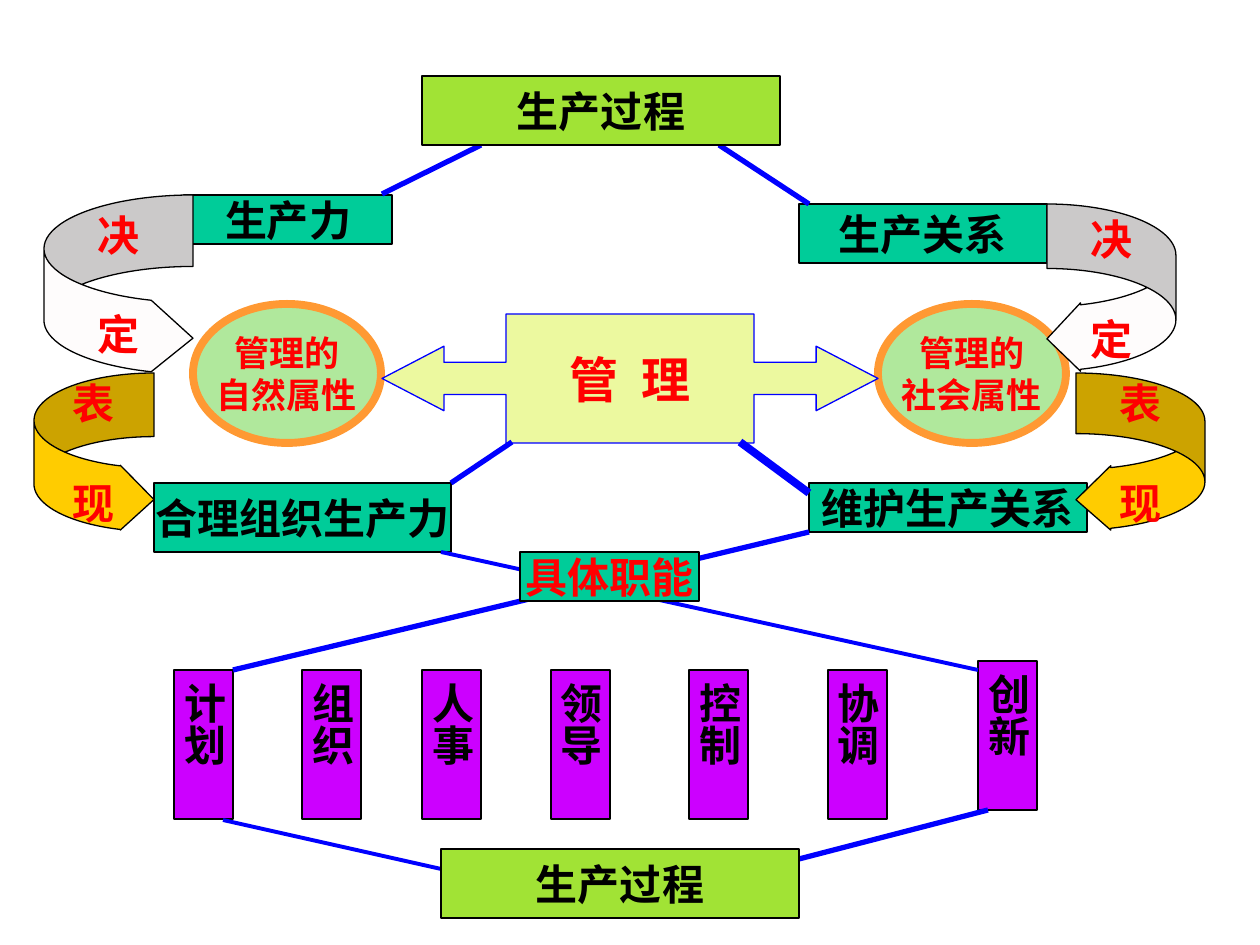
from lxml.etree import SubElement
from pptx import Presentation
from pptx.dml.color import RGBColor
from pptx.enum.shapes import MSO_CONNECTOR, MSO_SHAPE
from pptx.enum.text import MSO_ANCHOR, PP_ALIGN
from pptx.oxml.ns import qn
from pptx.util import Inches, Pt

PX = Inches(10) / 1260
FONT, CJK = "Times New Roman", "Noto Sans CJK JP"
BLACK = RGBColor(0x00, 0x00, 0x00)
RED = RGBColor(0xFF, 0x00, 0x00)
BLUE = RGBColor(0x00, 0x00, 0xFF)
TEAL = RGBColor(0x00, 0xCC, 0x99)
LIME = RGBColor(0xA1, 0xE3, 0x35)
PURPLE = RGBColor(0xCC, 0x00, 0xFF)
MINT = RGBColor(0xB0, 0xE8, 0x9C)
ORANGE = RGBColor(0xFF, 0x99, 0x33)
CREAM = RGBColor(0xEC, 0xF9, 0x9F)
WHITE = RGBColor(0xFE, 0xFC, 0xFC)
GOLD = RGBColor(0xFF, 0xCC, 0x00)

# text, place (left, top, width, height), fill, text colour
BACK = [
    ("生产力", (184, 195, 208, 49), TEAL, BLACK),
    ("生产关系", (799, 204, 248, 59), TEAL, BLACK),
    ("合理组织生产力", (154, 483, 297, 69), TEAL, BLACK),
    ("维护生产关系", (809, 483, 278, 49), TEAL, BLACK),
]
FRONT = [
    ("具体职能", (520, 552, 179, 49), TEAL, RED),
    ("生产过程", (441, 849, 358, 69), LIME, BLACK),
    ("生产过程", (422, 76, 358, 69), LIME, BLACK),
]
TRAITS = [("自然属性", 193), ("社会属性", 878)]
# text, left, top
DUTIES = [
    ("计划", 174, 670), ("组织", 302, 670), ("人事", 422, 670),
    ("领导", 551, 670), ("控制", 689, 670), ("协调", 828, 670),
    ("创新", 978, 661),
]
# x1, y1, x2, y2, width in points
LINES = [
    (233, 670, 809, 532, 3), (441, 552, 978, 670, 2.25),
    (223, 820, 441, 869, 2.25), (799, 859, 988, 810, 3),
    (451, 483, 512, 442, 3), (740, 442, 809, 493, 4.5),
    (382, 194, 481, 145, 3), (719, 145, 809, 204, 3),
]
RIGHT, LEFT = MSO_SHAPE.CURVED_RIGHT_ARROW, MSO_SHAPE.CURVED_LEFT_ARROW
# kind, two words, place, fill, adjustments
CURVES = [
    (RIGHT, "决定", (44, 195, 149, 179), WHITE, (0.48, 0.48, 0.28)),
    (LEFT, "决定", (1047, 204, 129, 169), WHITE, (0.5, 0.53, 0.26)),
    (RIGHT, "表现", (34, 373, 120, 159), GOLD, (0.53, 0.54, 0.28)),
    (LEFT, "表现", (1076, 373, 129, 159), GOLD, (0.47, 0.5, 0.27)),
]

deck = Presentation()
deck.slide_width, deck.slide_height = Inches(10), Inches(7.5)
shapes = deck.slides.add_slide(deck.slide_layouts[6]).shapes


def emu(*vals):
    return [round(v * PX) for v in vals]


def put(kind, place, fill, edge=BLACK, width=0.75, adjust=()):
    shape = shapes.add_shape(kind, *emu(*place))
    shape.shadow.inherit = False
    shape.fill.solid()
    shape.fill.fore_color.rgb = fill
    shape.line.color.rgb = edge
    shape.line.width = Pt(width)
    for i, val in enumerate(adjust):
        shape.adjustments[i] = val
    return shape


def write(shape, paras, color, size=24, font=FONT, gap=0):
    """Fill a shape with centred paragraphs, each a list of runs."""
    frame = shape.text_frame
    frame.word_wrap = False
    frame.vertical_anchor = MSO_ANCHOR.MIDDLE
    for i, runs in enumerate(paras):
        para = frame.add_paragraph() if i else frame.paragraphs[0]
        para.alignment = PP_ALIGN.CENTER
        if i and gap:
            para.space_before = Pt(gap)
        for text in runs:
            run = para.add_run()
            run.text = text
            run.font.name, run.font.size = font, Pt(size)
            run.font.bold = True
            run.font.color.rgb = color


def box(text, place, fill, color):
    shape = put(MSO_SHAPE.RECTANGLE, place, fill)
    write(shape, [[text]], color)
    return shape


for item in BACK:
    box(*item)

for text, left in TRAITS:
    oval = put(MSO_SHAPE.OVAL, (left, 304, 188, 139), MINT, ORANGE, 4.5)
    write(oval, [["管理的"], [text]], RED, 20)

core = put(MSO_SHAPE.LEFT_RIGHT_ARROW_CALLOUT, (382, 314, 496, 129), CREAM,
           BLUE, adjust=(0.25, 0.25, 0.48, 0.5))
write(core, [["管", " ", "理"]], RED, 28, CJK)
space = core.text_frame.paragraphs[0].runs[1]
space.font._element.set("spc", "700")

for text, left, top in DUTIES:
    bar = box(text, (left, top, 59, 149), PURPLE, BLACK)
    frame = bar.text_frame
    frame.margin_left = frame.margin_right = Inches(0.05)
    frame.margin_top = frame.margin_bottom = Inches(0.1)
    frame._txBody.bodyPr.set("vert", "eaVert")

for *ends, width in LINES:
    line = shapes.add_connector(MSO_CONNECTOR.STRAIGHT, *emu(*ends))
    line.line.color.rgb = BLUE
    line.line.width = Pt(width)
    SubElement(line._element.spPr, qn("a:effectLst"))

for item in FRONT:
    box(*item)

for kind, words, place, fill, adjust in CURVES:
    curve = put(kind, place, fill, adjust=adjust)
    write(curve, [[word] for word in words], RED, gap=28)

deck.save("out.pptx")
